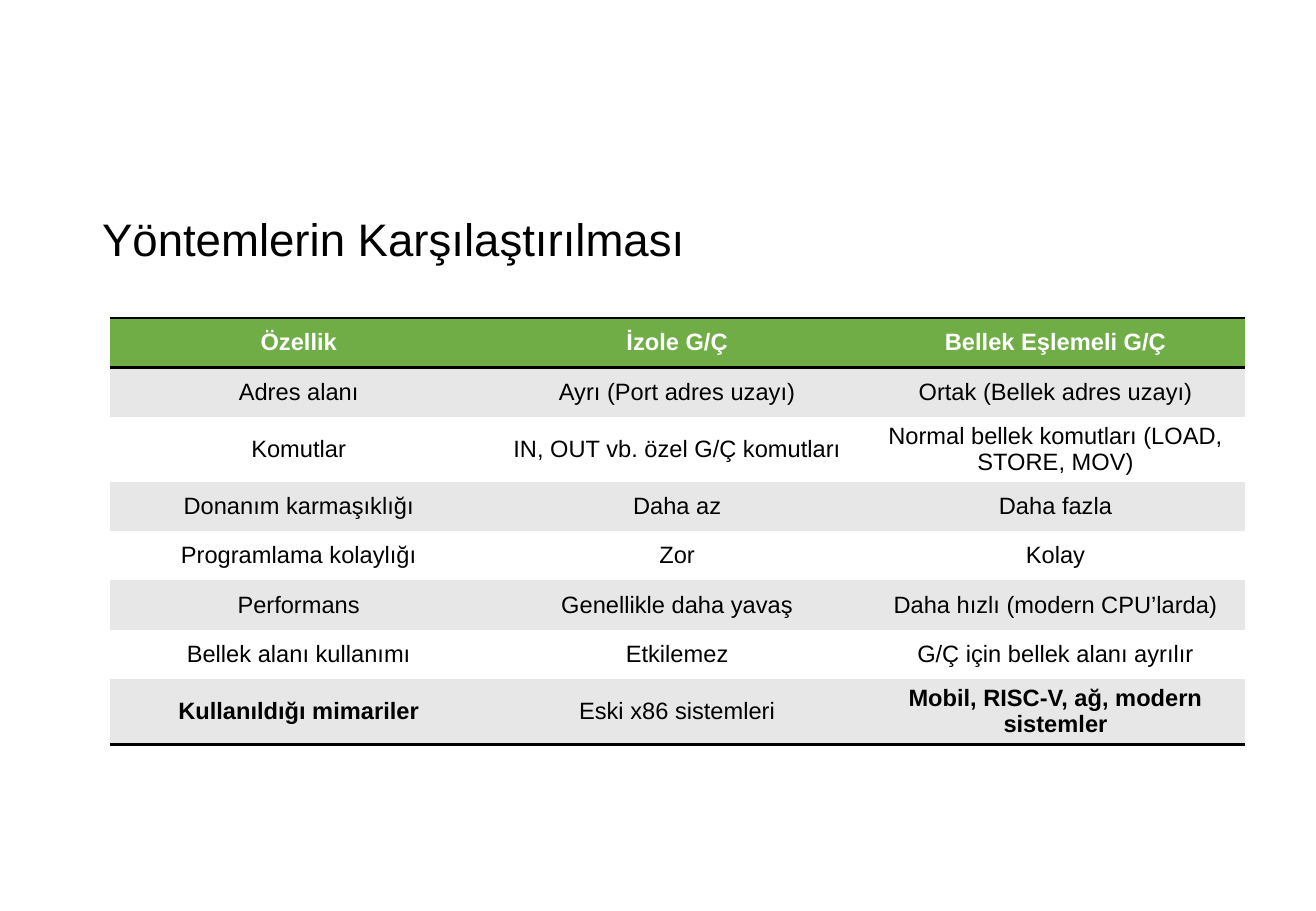
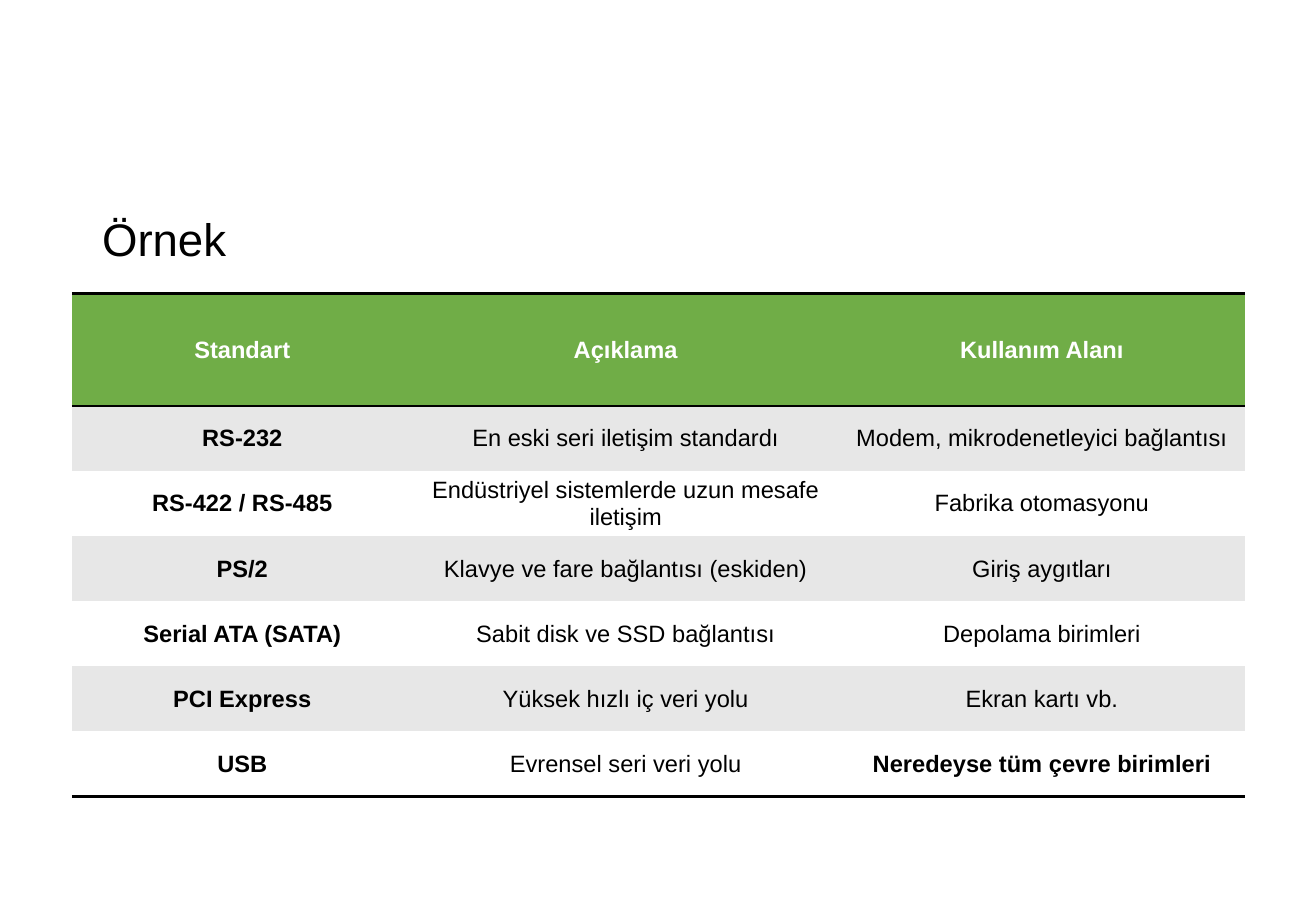
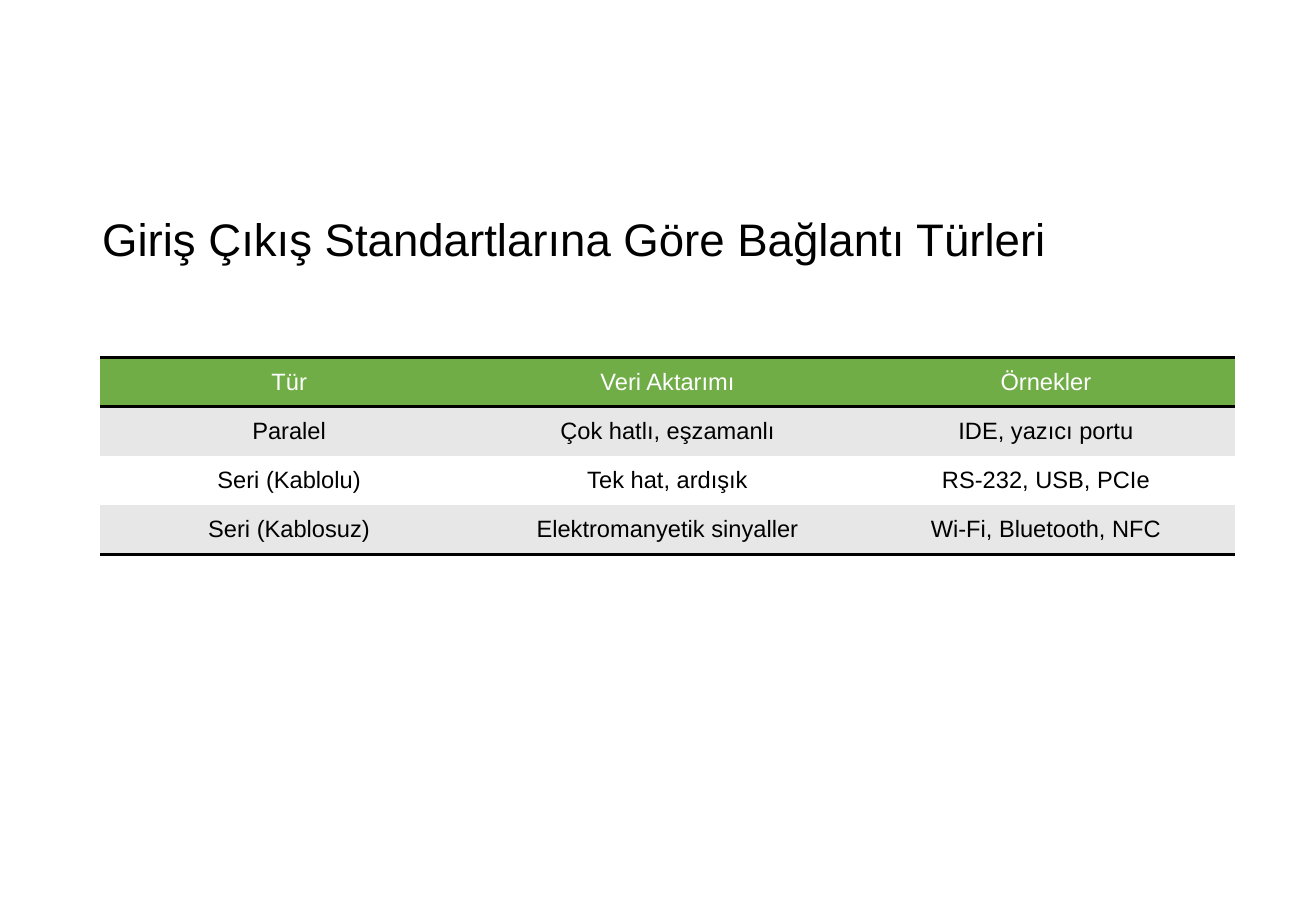
import pptx
import pptx.dml.color
import pptx.enum.text
import pptx.oxml
import pptx.oxml.ns
import pptx.util

Cm = pptx.util.Cm
Pt = pptx.util.Pt
RGBColor = pptx.dml.color.RGBColor
PP_ALIGN = pptx.enum.text.PP_ALIGN
MSO_ANCHOR = pptx.enum.text.MSO_ANCHOR

BLACK = RGBColor(0x00, 0x00, 0x00)
WHITE = RGBColor(0xFF, 0xFF, 0xFF)
GREEN = RGBColor(0x70, 0xAD, 0x47)
GREY = RGBColor(0xE7, 0xE7, 0xE7)

FONT = "Arial"
RULE_WIDTH = Pt(2)
PLAIN_TABLE_STYLE = "{2D5ABB26-0587-4C30-8999-92F81FD0307C}"
TITLE_ONLY_LAYOUT = 5

SLIDE_SIZE = (Cm(27.51), Cm(19.05))
TITLE_BOX = {"left": Cm(1.88), "top": Cm(4.22), "width": Cm(23.72), "height": Cm(1.68)}

# "bold" lists the (row, column) places of bold cells.
TABLE_SLIDES = [
    {
        "title": "Yöntemlerin Karşılaştırılması",
        "origin": (2.29, 6.65),
        "column_widths": [7.91] * 3,
        "header_height": 1.03,
        "row_height": 1.03,
        "bold": {(0, 0), (0, 1), (0, 2), (7, 0), (7, 2)},
        "rows": [
            ("Özellik", "İzole G/Ç", "Bellek Eşlemeli G/Ç"),
            ("Adres alanı", "Ayrı (Port adres uzayı)", "Ortak (Bellek adres uzayı)"),
            ("Komutlar", "IN, OUT vb. özel G/Ç komutları",
             "Normal bellek komutları (LOAD, STORE, MOV)"),
            ("Donanım karmaşıklığı", "Daha az", "Daha fazla"),
            ("Programlama kolaylığı", "Zor", "Kolay"),
            ("Performans", "Genellikle daha yavaş", "Daha hızlı (modern CPU’larda)"),
            ("Bellek alanı kullanımı", "Etkilemez", "G/Ç için bellek alanı ayrılır"),
            ("Kullanıldığı mimariler", "Eski x86 sistemleri",
             "Mobil, RISC-V, ağ, modern sistemler"),
        ],
    },
    {
        "title": "Örnek",
        "origin": (1.5, 6.14),
        "column_widths": [7.13, 8.9, 8.5],
        "header_height": 2.35,
        "row_height": 1.36,
        "bold": {(0, 1), (0, 2), (6, 2)} | {(row, 0) for row in range(7)},
        "rows": [
            ("Standart", "Açıklama", "Kullanım Alanı"),
            ("RS-232", "En eski seri iletişim standardı",
             "Modem, mikrodenetleyici bağlantısı"),
            ("RS-422 / RS-485", "Endüstriyel sistemlerde uzun mesafe iletişim",
             "Fabrika otomasyonu"),
            ("PS/2", "Klavye ve fare bağlantısı (eskiden)", "Giriş aygıtları"),
            ("Serial ATA (SATA)", "Sabit disk ve SSD bağlantısı", "Depolama birimleri"),
            ("PCI Express", "Yüksek hızlı iç veri yolu", "Ekran kartı vb."),
            ("USB", "Evrensel seri veri yolu", "Neredeyse tüm çevre birimleri"),
        ],
    },
    {
        "title": "Giriş Çıkış Standartlarına Göre Bağlantı Türleri",
        "origin": (2.09, 7.47),
        "column_widths": [7.91] * 3,
        "header_height": 1.03,
        "row_height": 1.03,
        "bold": set(),
        "rows": [
            ("Tür", "Veri Aktarımı", "Örnekler"),
            ("Paralel", "Çok hatlı, eşzamanlı", "IDE, yazıcı portu"),
            ("Seri (Kablolu)", "Tek hat, ardışık", "RS-232, USB, PCIe"),
            ("Seri (Kablosuz)", "Elektromanyetik sinyaller", "Wi-Fi, Bluetooth, NFC"),
        ],
    },
]


def set_attributes(target, values):
    for name, value in values.items():
        setattr(target, name, value)


def format_text(paragraph, size, color, bold, alignment):
    paragraph.alignment = alignment
    set_attributes(paragraph.font, {"name": FONT, "size": Pt(size), "bold": bold})
    paragraph.font.color.rgb = color


def add_rule(cell, edge):
    """Draw a black border on one edge of a cell: lnT or lnB."""
    cell._tc.get_or_add_tcPr().append(pptx.oxml.parse_xml(
        f'<a:{edge} {pptx.oxml.ns.nsdecls("a")} w="{RULE_WIDTH}">'
        f'<a:solidFill><a:srgbClr val="{BLACK}"/></a:solidFill></a:{edge}>'))


def fill_title(slide, text):
    title = slide.shapes.title
    set_attributes(title, TITLE_BOX)
    frame = title.text_frame
    frame.text = text
    set_attributes(frame, {
        "word_wrap": True,
        "auto_size": pptx.enum.text.MSO_AUTO_SIZE.NONE,
        "vertical_anchor": MSO_ANCHOR.MIDDLE,
    })
    paragraph = frame.paragraphs[0]
    paragraph.line_spacing = 0.9
    format_text(paragraph, 27, BLACK, False, PP_ALIGN.LEFT)


def fill_cell(cell, text, row, last_row, bold):
    cell.text = text
    cell.vertical_anchor = MSO_ANCHOR.MIDDLE
    format_text(cell.text_frame.paragraphs[0], 14,
                BLACK if row else WHITE, bold, PP_ALIGN.CENTER)
    if row == 0:
        add_rule(cell, "lnT")
    if row in (0, last_row):
        add_rule(cell, "lnB")
    cell.fill.solid()
    cell.fill.fore_color.rgb = GREEN if row == 0 else GREY if row % 2 else WHITE


def add_ruled_table(slide, content):
    rows, widths = content["rows"], content["column_widths"]
    heights = [content["header_height"]] + [content["row_height"]] * (len(rows) - 1)
    left, top = content["origin"]
    table = slide.shapes.add_table(
        len(rows), len(widths), Cm(left), Cm(top), Cm(sum(widths)), Cm(sum(heights))).table
    table.horz_banding = False
    style = table._tbl.tblPr.find(pptx.oxml.ns.qn("a:tableStyleId"))
    style.text = PLAIN_TABLE_STYLE

    for column, width in zip(table.columns, widths):
        column.width = Cm(width)
    for row, (texts, height) in enumerate(zip(rows, heights)):
        table.rows[row].height = Cm(height)
        for column, text in enumerate(texts):
            fill_cell(table.cell(row, column), text, row, len(rows) - 1,
                      (row, column) in content["bold"])


def main():
    presentation = pptx.Presentation()
    presentation.slide_width, presentation.slide_height = SLIDE_SIZE
    for content in TABLE_SLIDES:
        slide = presentation.slides.add_slide(presentation.slide_layouts[TITLE_ONLY_LAYOUT])
        fill_title(slide, content["title"])
        add_ruled_table(slide, content)
    presentation.save("out.pptx")


if __name__ == "__main__":
    main()
